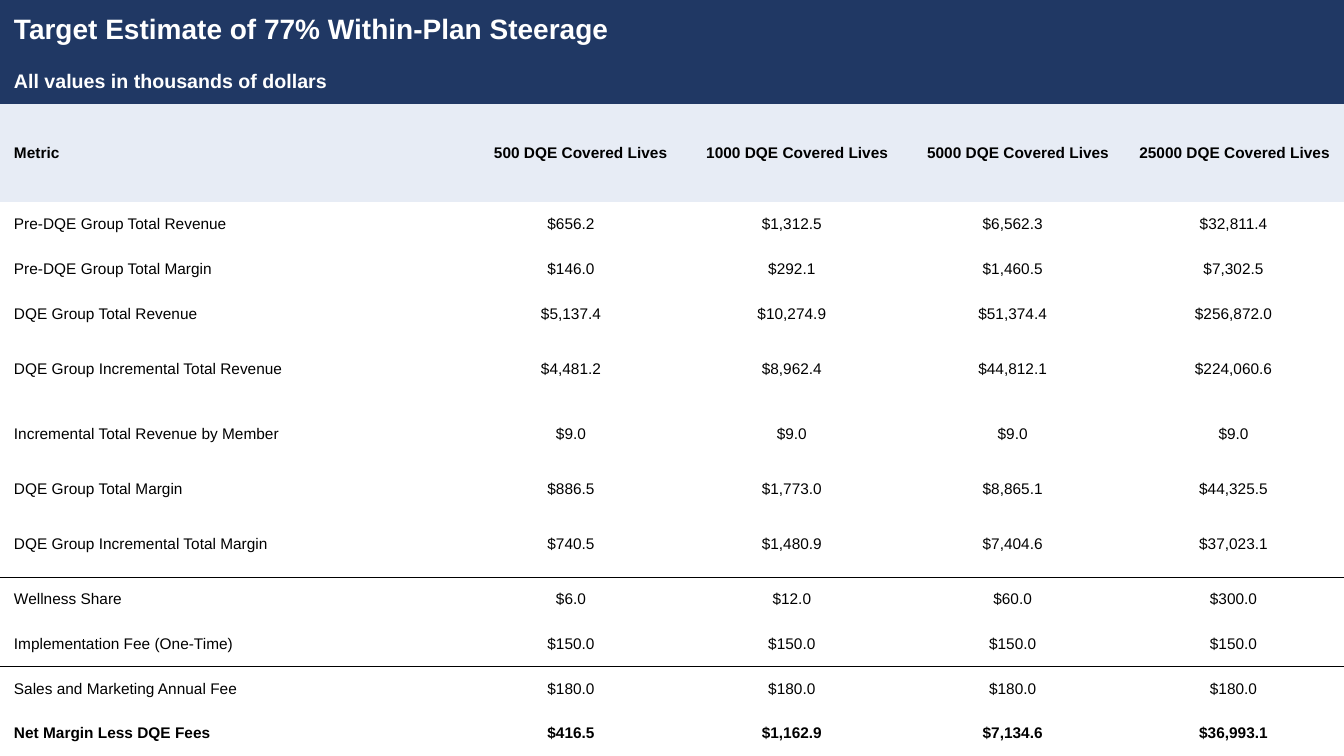
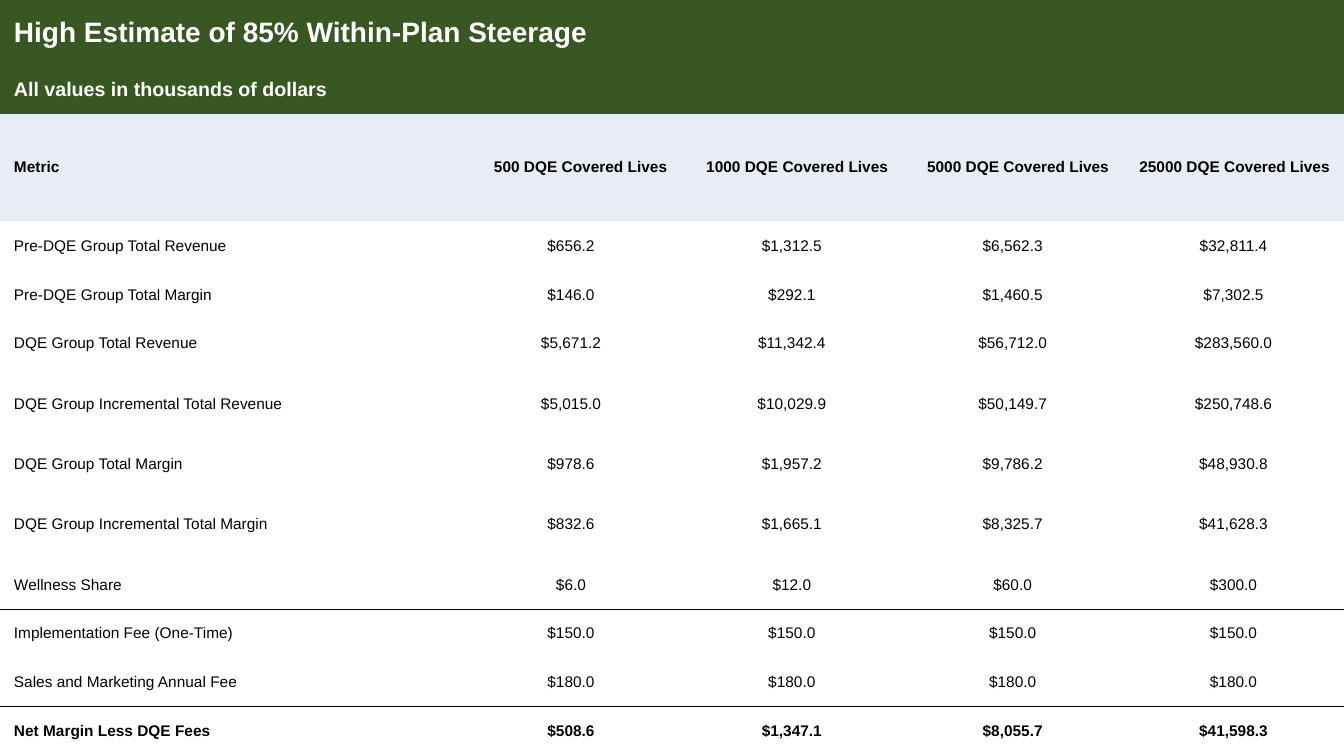
from lxml import etree
from pptx import Presentation
from pptx.dml.color import RGBColor
from pptx.enum.text import MSO_ANCHOR, PP_ALIGN
from pptx.oxml.ns import qn
from pptx.util import Pt

LEFT, CENTER, RIGHT = PP_ALIGN.LEFT, PP_ALIGN.CENTER, PP_ALIGN.RIGHT
MIDDLE = MSO_ANCHOR.MIDDLE

COLORS = {"navy": "203864", "green": "385723", "head": "E7ECF5",
          "white": "FFFFFF", "black": "000000"}
FONT = "Arial"
WIDTH, HEIGHT = 960, 540
FIRST = 329
NO_STYLE = "{2D5ABB26-0587-4C30-8999-92F81FD0307C}"
# Relative row heights, scaled so that each table fills the page
TITLE, SHORT, HEAD, TALL = 42.5, 32, 70.5, 47

NOTE = "All values in thousands of dollars"
HEADS = ["Metric"] + [f"{lives} DQE Covered Lives"
                      for lives in (500, 1000, 5000, 25000)]
BEFORE = [
    ["Pre-DQE Group Total Revenue", "$656.2", "$1,312.5", "$6,562.3", "$32,811.4"],
    ["Pre-DQE Group Total Margin", "$146.0", "$292.1", "$1,460.5", "$7,302.5"],
]
FEES = [
    ["Wellness Share", "$6.0", "$12.0", "$60.0", "$300.0"],
    ["Implementation Fee (One-Time)"] + ["$150.0"] * 4,
    ["Sales and Marketing Annual Fee"] + ["$180.0"] * 4,
]

PLANS = [
    {
        "title": "Target Estimate of 77% Within-Plan Steerage",
        "band": "navy",
        "group": [
            ["DQE Group Total Revenue", "$5,137.4", "$10,274.9", "$51,374.4", "$256,872.0"],
            ["DQE Group Incremental Total Revenue", "$4,481.2", "$8,962.4", "$44,812.1", "$224,060.6"],
            ["Incremental Total Revenue by Member"] + ["$9.0"] * 4,
            ["DQE Group Total Margin", "$886.5", "$1,773.0", "$8,865.1", "$44,325.5"],
            ["DQE Group Incremental Total Margin", "$740.5", "$1,480.9", "$7,404.6", "$37,023.1"],
        ],
        "net": ["$416.5", "$1,162.9", "$7,134.6", "$36,993.1"],
        "ruled": ["DQE Group Incremental Total Margin", "Implementation Fee (One-Time)"],
    },
    {
        "title": "High Estimate of 85% Within-Plan Steerage",
        "band": "green",
        "group": [
            ["DQE Group Total Revenue", "$5,671.2", "$11,342.4", "$56,712.0", "$283,560.0"],
            ["DQE Group Incremental Total Revenue", "$5,015.0", "$10,029.9", "$50,149.7", "$250,748.6"],
            ["DQE Group Total Margin", "$978.6", "$1,957.2", "$9,786.2", "$48,930.8"],
            ["DQE Group Incremental Total Margin", "$832.6", "$1,665.1", "$8,325.7", "$41,628.3"],
        ],
        "net": ["$508.6", "$1,347.1", "$8,055.7", "$41,598.3"],
        "ruled": ["Wellness Share", "Sales and Marketing Annual Fee"],
    },
]


def set_rule(cell, side, shown):
    """Give one side of a cell, lnT or lnB, a black border or none."""
    props = cell._tc.get_or_add_tcPr()
    line = etree.SubElement(props, qn(f"a:{side}"), w=str(Pt(1)))
    if shown:
        fill = etree.SubElement(line, qn("a:solidFill"))
        etree.SubElement(fill, qn("a:srgbClr"), val=COLORS["black"])
    else:
        etree.SubElement(line, qn("a:noFill"))


def fill_cell(cell, text, size=11, bold=False, color="black", align=LEFT, fill=None):
    cell.margin_left = cell.margin_right = Pt(10)
    cell.margin_top = cell.margin_bottom = 0
    cell.vertical_anchor = MIDDLE
    if fill:
        cell.fill.solid()
        cell.fill.fore_color.rgb = RGBColor.from_string(COLORS[fill])
    else:
        cell.fill.background()
    cell.text = text
    para = cell.text_frame.paragraphs[0]
    para.alignment = align
    para.font.name = FONT
    para.font.size = Pt(size)
    para.font.bold = bold
    para.font.color.rgb = RGBColor.from_string(COLORS[color])


deck = Presentation()
deck.slide_width, deck.slide_height = Pt(WIDTH), Pt(HEIGHT)
blank = deck.slide_layouts[6]

for plan in PLANS:
    net = ["Net Margin Less DQE Fees"] + plan["net"]
    body = BEFORE + plan["group"] + FEES + [net]
    sizes = [TITLE, SHORT, HEAD]
    sizes += [TALL if "Incremental" in row[0] else SHORT for row in body]
    scale = HEIGHT / sum(sizes)

    slide = deck.slides.add_slide(blank)
    table = slide.shapes.add_table(len(sizes), len(HEADS), 0, 0,
                                   Pt(WIDTH), Pt(HEIGHT)).table
    table.first_row = table.horz_banding = False
    table._tbl.tblPr.find(qn("a:tableStyleId")).text = NO_STYLE
    for row, size in zip(table.rows, sizes):
        row.height = Pt(size * scale)
    for col in table.columns:
        col.width = Pt((WIDTH - FIRST) / (len(HEADS) - 1))
    table.columns[0].width = Pt(FIRST)

    for y, (text, size) in enumerate([(plan["title"], 20), (NOTE, 14)]):
        table.cell(y, 0).merge(table.cell(y, len(HEADS) - 1))
        fill_cell(table.cell(y, 0), text, size, True, "white", fill=plan["band"])

    for x, text in enumerate(HEADS):
        fill_cell(table.cell(2, x), text, bold=True,
                  align=RIGHT if x else LEFT, fill="head")

    above = None
    for y, row in enumerate(body, 3):
        for x, text in enumerate(row):
            cell = table.cell(y, x)
            set_rule(cell, "lnT", above in plan["ruled"])
            set_rule(cell, "lnB", row[0] in plan["ruled"])
            fill_cell(cell, text, bold=row is net, align=CENTER if x else LEFT)
        above = row[0]

deck.save("out.pptx")
